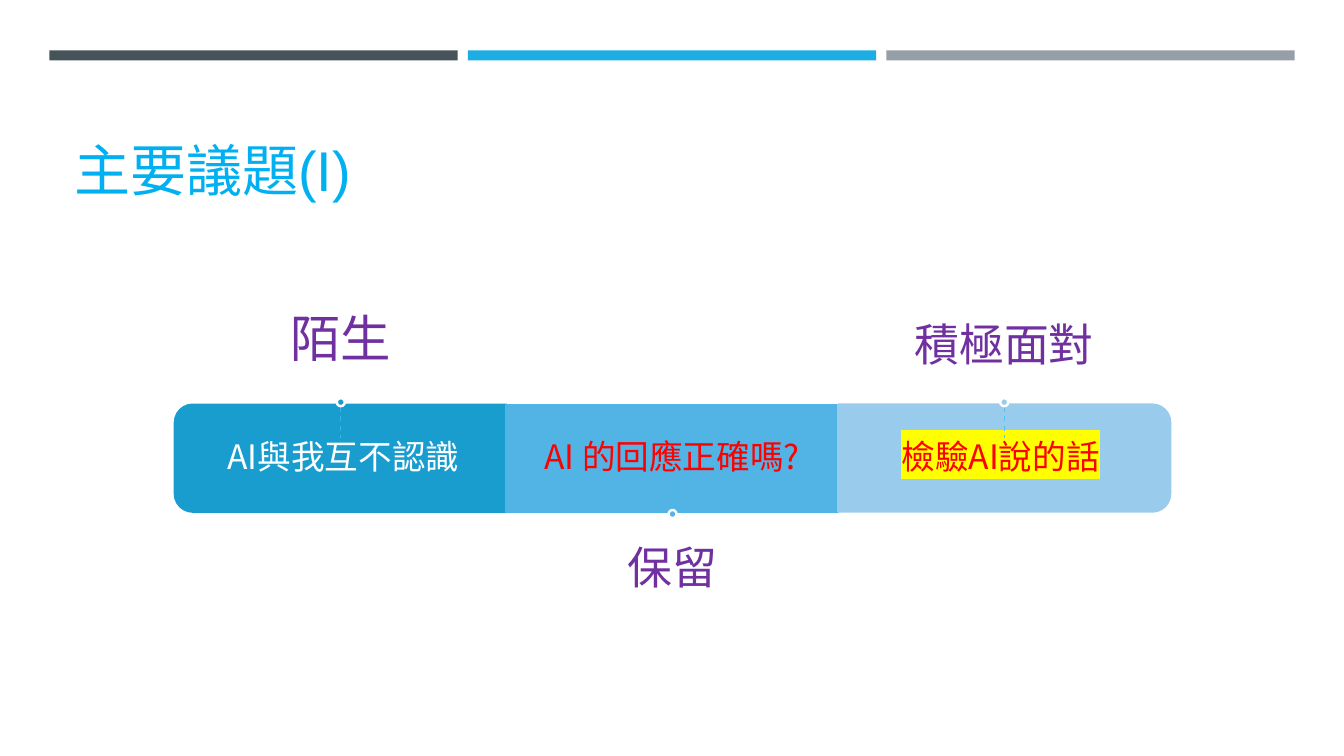
from lxml import etree
from pptx import Presentation
from pptx.dml.color import RGBColor
from pptx.enum.dml import MSO_LINE
from pptx.enum.shapes import MSO_CONNECTOR, MSO_SHAPE
from pptx.enum.text import MSO_ANCHOR, PP_ALIGN
from pptx.oxml.ns import qn
from pptx.util import Pt

PX = 9144
RECT, OVAL = MSO_SHAPE.RECTANGLE, MSO_SHAPE.OVAL
ROUND_TOP = MSO_SHAPE.ROUND_2_SAME_RECTANGLE
STRAIGHT, DASH = MSO_CONNECTOR.STRAIGHT, MSO_LINE.DASH
TOP, MIDDLE, BOTTOM = MSO_ANCHOR.TOP, MSO_ANCHOR.MIDDLE, MSO_ANCHOR.BOTTOM
LEFT, CENTER = PP_ALIGN.LEFT, PP_ALIGN.CENTER
CJK = "Noto Sans CJK TC"
PURPLE, RED, WHITE, YELLOW = "7030A0", "FF0000", "FFFFFF", "FFFF00"


def rgb(value):
    return RGBColor.from_string(value)


class Deck:
    """Draws styled elements on the current slide in px units."""

    def __init__(self, width, height):
        self.prs = Presentation()
        self.prs.slide_width, self.prs.slide_height = width * PX, height * PX
        self.s = self.prs.slides.add_slide(self.prs.slide_layouts[6])

    def shape(self, kind, box, fill, line=None, rotation=0):
        sp = self.s.shapes.add_shape(kind, *(v * PX for v in box))
        sp.shadow.inherit = False
        sp.rotation = rotation
        sp.fill.solid()
        sp.fill.fore_color.rgb = rgb(fill)
        if line:
            sp.line.color.rgb = rgb(line)
            sp.line.width = Pt(1.75)
        else:
            sp.line.fill.background()

    def text(self, box, text, size, color, anchor, insets, align=CENTER, font=CJK, highlight=None):
        tf = self.s.shapes.add_textbox(*(v * PX for v in box)).text_frame
        tf.word_wrap = True
        tf.vertical_anchor = anchor
        tf.margin_left, tf.margin_top, tf.margin_right, tf.margin_bottom = (v * PX for v in insets)
        tf.text = text
        p = tf.paragraphs[0]
        p.alignment, p.line_spacing = align, 0.9
        r = p.runs[0]
        r.font.size, r.font.name = Pt(size), font
        r.font.color.rgb = rgb(color)
        props = r.font.color.rgb and r._r.get_or_add_rPr()
        etree.SubElement(props, qn("a:ea"), typeface=CJK)
        if highlight:
            mark = etree.Element(qn("a:highlight"))
            etree.SubElement(mark, qn("a:srgbClr"), val=highlight)
            props.find(qn("a:solidFill")).addnext(mark)

    def dashed_line(self, x, top, bottom, color):
        cxn = self.s.shapes.add_connector(STRAIGHT, x * PX, top * PX, x * PX, bottom * PX)
        cxn.line.color.rgb = rgb(color)
        cxn.line.width, cxn.line.dash_style = Pt(1), DASH
        etree.SubElement(cxn._element.spPr, qn("a:effectLst"))

    def stage(self, cx, fill, stem, rotation, inner, body, color, highlight, label, size, gap):
        above = rotation is not None
        if above:
            self.shape(ROUND_TOP, (cx - 53, 290, 106, 329), fill, fill, rotation)
        else:
            self.shape(RECT, (cx - 165, 402, 329, 106), fill, fill)
        self.text((*inner, 95), body, 24, color, MIDDLE, (20, 20, 20, 20), highlight=highlight)
        label_top, anchor, insets = (256, BOTTOM, (0, 0, 0, gap)) if above else (514, TOP, (0, gap, 0, 0))
        self.text((cx - 274, label_top, 548, 139), label, size, PURPLE, anchor, insets)
        self.dashed_line(cx, *((403, 435) if above else (475, 506)), stem)
        self.shape(OVAL, (cx - 4, 395 if above else 506, 8, 8), fill, WHITE)


def main():
    deck = Deck(1333, 750)
    for i, color in enumerate(("465359", "1CADE4", "969FA7")):
        deck.shape(RECT, (49 + 415 * i, 50, 405, 10), color)
    deck.text((64, 77, 1206, 130), "主要議題(I)", 40, "00B0F0", BOTTOM, (10, 5, 10, 5), LEFT, "Arial")
    stages = (
        ("199DCF", "36B3E9", 270, (179, 407, 323), "AI與我互不認識", WHITE, None, "陌生", 36, 30),
        ("52B3E5", "48B8EC", None, (502, 407, 329), "AI 的回應正確嗎?", RED, None, "保留", 32, 27),
        ("99CBEC", "5ABEEF", 90, (831, 407, 323), "檢驗AI說的話", RED, YELLOW, "積極面對", 32, 27),
    )
    for i, stage in enumerate(stages):
        deck.stage(338 + 329 * i, *stage)
    deck.prs.save("out.pptx")


if __name__ == "__main__":
    main()
